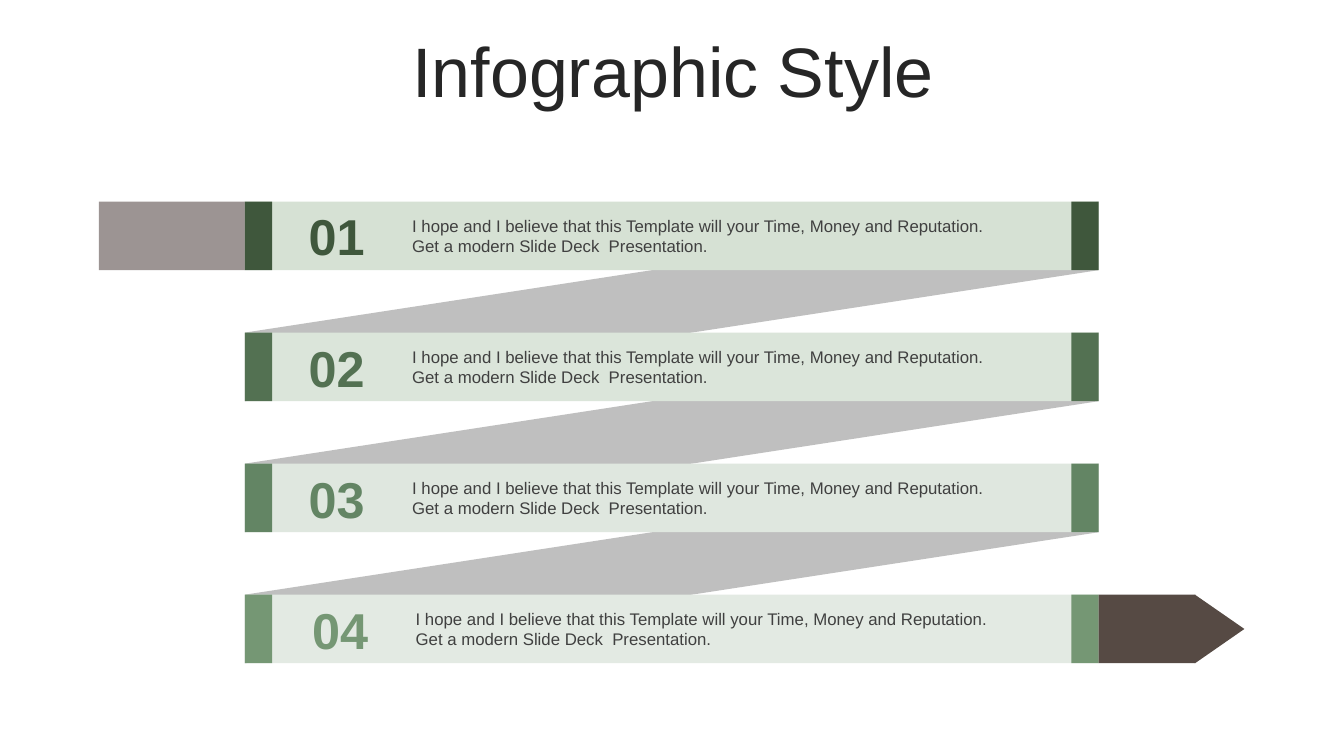
from dataclasses import dataclass

from pptx import Presentation
from pptx.dml.color import RGBColor
from pptx.enum.shapes import MSO_SHAPE
from pptx.enum.text import MSO_ANCHOR, PP_ALIGN
from pptx.shapes.autoshape import Shape
from pptx.slide import Slide
from pptx.util import Inches, Pt

FONT = "Arial"
BODY = ("I hope and I believe that this Template will your Time, Money and "
        "Reputation. Get a modern Slide Deck  Presentation.")

INK = RGBColor(0x26, 0x26, 0x26)
GRAY = RGBColor(0x40, 0x40, 0x40)
FOLD = RGBColor(0xBF, 0xBF, 0xBF)
TAIL = RGBColor(0x9C, 0x94, 0x93)
TIP = RGBColor(0x56, 0x4A, 0x44)

COLS, ROWS = 133.33, 75
WIDTH, HEIGHT = Inches(13.333), Inches(7.5)

LEFT, RIGHT = 24.3, 109
TOP, PITCH, TALL = 20, 13, 6.8
CAP = 2.7


@dataclass(frozen=True)
class Band:
    label: str
    dark: RGBColor
    light: RGBColor
    shift: float = 0


@dataclass(frozen=True)
class Box:
    left: float
    top: float
    width: float
    height: float


BANDS = [
    Band("01", RGBColor(0x3F, 0x57, 0x3C), RGBColor(0xD6, 0xE1, 0xD4)),
    Band("02", RGBColor(0x53, 0x71, 0x52), RGBColor(0xDB, 0xE5, 0xDA)),
    Band("03", RGBColor(0x63, 0x85, 0x64), RGBColor(0xDF, 0xE7, 0xDF)),
    Band("04", RGBColor(0x75, 0x97, 0x74), RGBColor(0xE3, 0xEA, 0xE3), 0.35),
]


def col(count: float) -> int:
    return round(WIDTH * count / COLS)


def row(count: float) -> int:
    return round(HEIGHT * count / ROWS)


def paint(shape: Shape, color: RGBColor) -> None:
    shape.shadow.inherit = False
    shape.fill.solid()
    shape.fill.fore_color.rgb = color
    shape.line.fill.background()


def block(slide: Slide, box: Box, color: RGBColor,
          kind: MSO_SHAPE = MSO_SHAPE.RECTANGLE) -> Shape:
    shape = slide.shapes.add_shape(
        kind, col(box.left), row(box.top), col(box.width), row(box.height))
    paint(shape, color)
    return shape


def write(slide: Slide, box: Box, text: str, size: float, color: RGBColor,
          align: PP_ALIGN = PP_ALIGN.LEFT, bold: bool = False) -> Shape:
    shape = slide.shapes.add_textbox(
        col(box.left), row(box.top), col(box.width), row(box.height))
    frame = shape.text_frame
    frame.word_wrap = True
    frame.text = text
    para = frame.paragraphs[0]
    para.alignment = align
    font = para.runs[0].font
    font.name, font.size, font.bold = FONT, Pt(size), bold
    font.color.rgb = color
    return shape


def fold(slide: Slide, top: float) -> None:
    end = top + PITCH
    pen = slide.shapes.build_freeform(col(LEFT), row(end))
    pen.add_line_segments([
        (col(RIGHT), row(top)),
        (col(RIGHT), row(top + TALL)),
        (col(LEFT), row(end + TALL)),
    ])
    paint(pen.convert_to_shape(), FOLD)


def strip(slide: Slide, band: Band, top: float) -> None:
    block(slide, Box(LEFT, top, RIGHT - LEFT, TALL), band.light)
    for left in (LEFT, RIGHT - CAP):
        block(slide, Box(left, top, CAP, TALL), band.dark)
    write(slide, Box(29.5 + band.shift, top - 0.1, 7.8, 7.1), band.label,
          36, band.dark, PP_ALIGN.CENTER, True)
    write(slide, Box(39.9 + band.shift, top + 0.9, 60.5, 5), BODY, 12, GRAY)


def main() -> None:
    deck = Presentation()
    deck.slide_width, deck.slide_height = WIDTH, HEIGHT
    slide = deck.slides.add_slide(deck.slide_layouts[6])

    title = write(slide, Box(3.5, 3.7, 126.6, 7.9), "Infographic Style",
                  50, INK, PP_ALIGN.CENTER)
    title.text_frame.vertical_anchor = MSO_ANCHOR.MIDDLE
    title.text_frame.paragraphs[0].line_spacing = 0.8

    tops = [TOP + PITCH * index for index in range(len(BANDS))]
    for top in tops[:-1]:
        fold(slide, top)

    block(slide, Box(9.8, TOP, LEFT - 9.8, TALL), TAIL)
    for band, top in zip(BANDS, tops):
        strip(slide, band, top)

    block(slide, Box(RIGHT, tops[-1], 9.6, TALL), TIP)
    point = block(slide, Box(117.6, tops[-1] + 0.95, TALL, 4.9), TIP,
                  MSO_SHAPE.ISOSCELES_TRIANGLE)
    point.rotation = 90

    deck.save("out.pptx")


if __name__ == "__main__":
    main()
